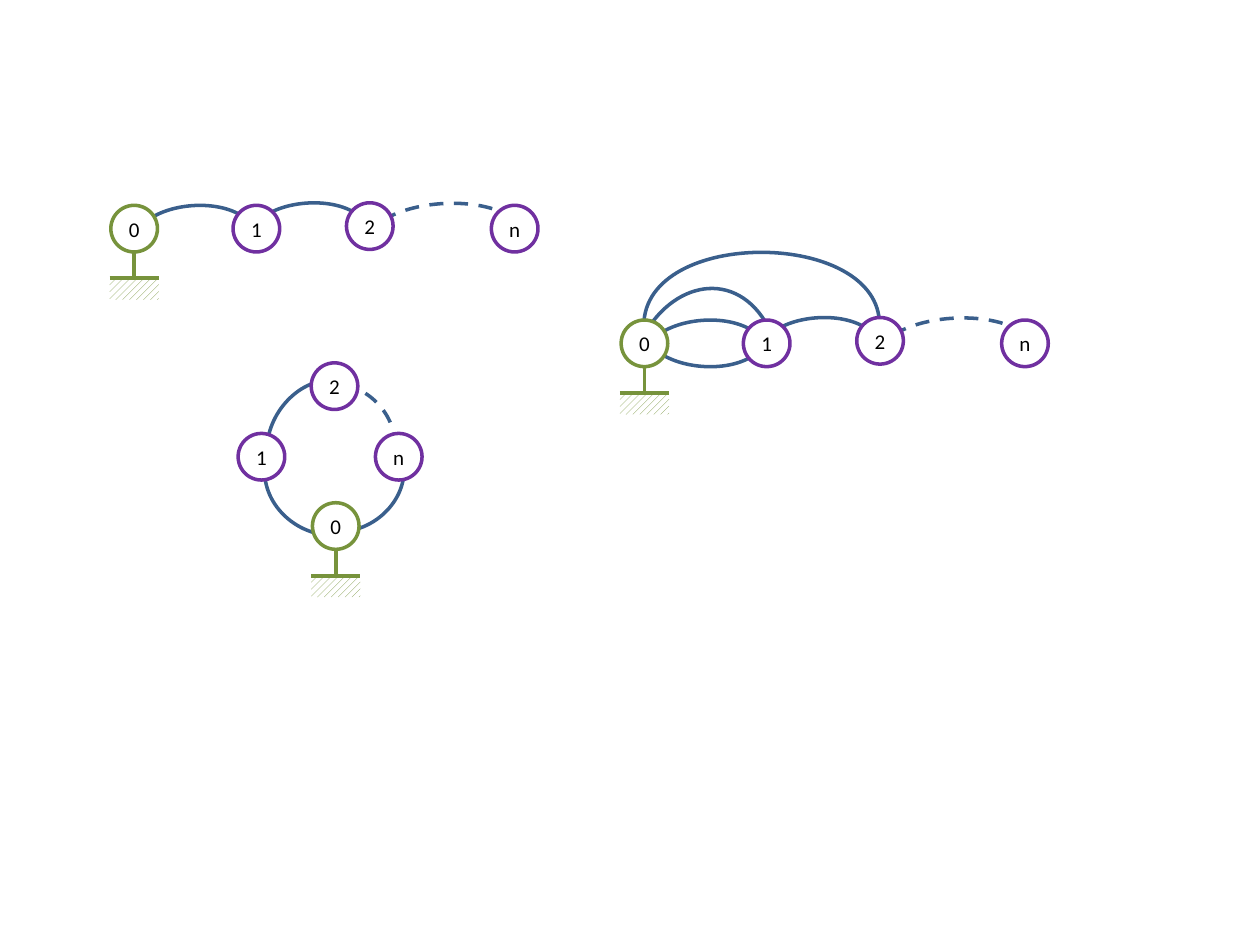
import pptx
import pptx.util
from lxml import etree
from pptx.dml.color import RGBColor
from pptx.enum.dml import MSO_LINE, MSO_PATTERN
from pptx.enum.shapes import MSO_CONNECTOR, MSO_SHAPE
from pptx.enum.text import MSO_ANCHOR, PP_ALIGN
from pptx.oxml.ns import qn
from pptx.util import Inches, Pt

BLUE = RGBColor(0x3A, 0x5F, 0x8C)
PURPLE = RGBColor(0x70, 0x30, 0xA0)
GREEN = RGBColor(0x77, 0x93, 0x3C)
WHITE = RGBColor(0xFF, 0xFF, 0xFF)
BLACK = RGBColor(0, 0, 0)


class Diagram:
    FONT, SIZE = "Calibri", Pt(12)
    NODE = 0.37
    GROUND_W, GROUND_H, STEM = 0.39, 0.17, 0.21
    INSET = Inches(0.04)

    def __init__(self, slide):
        self.slide = slide
        self.shapes = slide.shapes

    def start_group(self):
        self.shapes = self.slide.shapes.add_group_shape().shapes

    def arc(self, points, dashed=False):
        """Draw one cubic Bezier from start, two controls and end, in inches."""
        p = [(Inches(x), Inches(y)) for x, y in points]

        def at(t):
            weights = ((1 - t) ** 3, 3 * t * (1 - t) ** 2, 3 * t * t * (1 - t), t ** 3)
            return tuple(round(sum(w * q[i] for w, q in zip(weights, p))) for i in (0, 1))

        # Sampling gives the shape its true box; one real curve then replaces the samples.
        fb = self.shapes.build_freeform(*p[0])
        fb.add_line_segments([at(i / 24) for i in range(1, 25)], close=False)
        sp = fb.convert_to_shape()
        outline = sp._element.find(".//" + qn("a:path"))
        for segment in outline.findall(qn("a:lnTo")):
            outline.remove(segment)
        curve = etree.SubElement(outline, qn("a:cubicBezTo"))
        for x, y in p[1:]:
            etree.SubElement(curve, qn("a:pt"), x=str(x - sp.left), y=str(y - sp.top))
        sp.shadow.inherit = False
        sp.fill.background()
        sp.line.color.rgb = BLUE
        sp.line.width = Pt(2)
        if dashed:
            sp.line.dash_style = MSO_LINE.DASH

    def node(self, text, x, y, color=PURPLE):
        sp = self.shapes.add_shape(MSO_SHAPE.OVAL, Inches(x), Inches(y),
                                   Inches(self.NODE), Inches(self.NODE))
        sp.shadow.inherit = False
        sp.fill.solid()
        sp.fill.fore_color.rgb = WHITE
        sp.line.color.rgb = color
        sp.line.width = Pt(2)
        tf = sp.text_frame
        tf.margin_left = tf.margin_right = tf.margin_top = tf.margin_bottom = self.INSET
        tf.vertical_anchor = MSO_ANCHOR.MIDDLE
        tf.text = text
        p = tf.paragraphs[0]
        p.alignment = PP_ALIGN.CENTER
        font = p.runs[0].font
        font.name, font.size = self.FONT, self.SIZE
        font.color.rgb = BLACK

    def line(self, x1, y1, x2, y2):
        cxn = self.shapes.add_connector(MSO_CONNECTOR.STRAIGHT, Inches(x1), Inches(y1),
                                        Inches(x2), Inches(y2))
        cxn.line.color.rgb = GREEN
        cxn.line.width = Pt(2.25)
        etree.SubElement(cxn._element.spPr, qn("a:effectLst"))
        return cxn

    def ground(self, x, y):
        """Draw the hatched support below the node whose top left is x, y."""
        middle, bottom = x + self.NODE / 2, y + self.NODE
        top, left = bottom + self.STEM, middle - self.GROUND_W / 2
        sp = self.shapes.add_shape(MSO_SHAPE.RECTANGLE, Inches(left), Inches(top),
                                   Inches(self.GROUND_W), Inches(self.GROUND_H))
        sp.shadow.inherit = False
        sp.fill.patterned()
        sp.fill.pattern = MSO_PATTERN.WIDE_UPWARD_DIAGONAL
        sp.fill.fore_color.rgb = GREEN
        sp.fill.back_color.rgb = WHITE
        sp.line.fill.background()
        self.line(left, top, left + self.GROUND_W, top)
        self.line(middle, bottom, middle, top).end_connect(sp, 0)

    def chain(self, x, y, extra_arcs=()):
        """Draw nodes 0, 1, 2 ... n in a row, node 0 having its top left at x, y."""
        def moved(*points):
            return [(x + dx, y + dy) for dx, dy in points]

        self.start_group()
        self.arc(moved((2.16, 0.12), (2.42, -0.05), (2.96, -0.07), (3.2, 0.11)), dashed=True)
        self.arc(moved((1.2, 0.1), (1.39, -0.05), (1.81, -0.07), (1.99, 0.1)))
        for points in extra_arcs:
            self.arc(points)
        self.ground(x, y)
        self.arc(moved((0.29, 0.12), (0.49, -0.03), (0.9, -0.05), (1.09, 0.12)))
        self.node("0", x, y, GREEN)
        for text, dx, dy in (("n", 3.02, 0), ("1", 0.97, 0), ("2", 1.87, -0.02)):
            self.node(text, x + dx, y + dy)

    def ring(self, x, y):
        """Draw the closed loop, node 0 having its top left at x, y."""
        self.start_group()
        self.arc([(2.72, 3.05), (3, 3.1), (3.22, 3.41), (3.1, 3.68)], dashed=True)
        self.arc([(2.12, 3.58), (2.11, 3.29), (2.38, 2.98), (2.68, 3.02)])
        self.arc([(2.69, 4.22), (3, 4.22), (3.28, 3.92), (3.19, 3.61)])
        self.arc([(2.65, 4.25), (2.31, 4.25), (2.02, 3.94), (2.12, 3.6)])
        self.ground(x, y)
        self.node("0", x, y, GREEN)
        for text, dx, dy in (("2", -0.01, -1.11), ("n", 0.5, -0.55), ("1", -0.59, -0.55)):
            self.node(text, x + dx, y + dy)


def main():
    prs = pptx.Presentation()
    prs.slide_width, prs.slide_height = Inches(10), Inches(7.5)
    s = prs.slides.add_slide(prs.slide_layouts[6])
    diagram = Diagram(s)
    diagram.chain(0.88, 1.63)
    diagram.ring(2.48, 3.99)
    diagram.chain(4.93, 2.54, extra_arcs=[
        [(5.11, 2.58), (5.12, 1.8), (6.99, 1.82), (6.98, 2.58)],
        [(5.11, 2.66), (5.37, 2.2), (5.89, 2.14), (6.12, 2.64)],
        [(5.22, 2.79), (5.42, 2.94), (5.83, 2.96), (6.02, 2.79)],
    ])
    prs.save("out.pptx")


if __name__ == "__main__":
    main()
